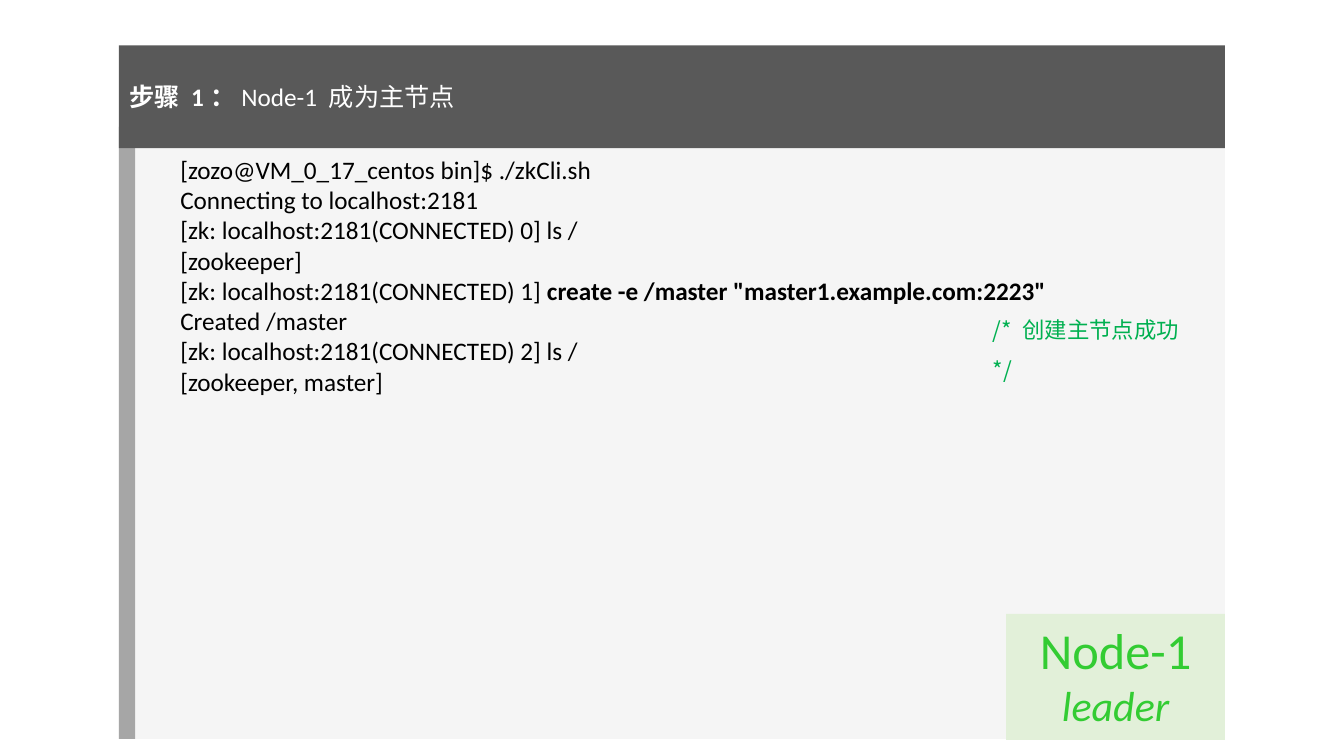
from lxml import etree
from pptx import Presentation
from pptx.dml.color import RGBColor
from pptx.enum import shapes, text
from pptx.oxml import ns
from pptx.util import Inches, Pt

LATIN = "Calibri"
CJK = "Noto Sans CJK SC"
LEFT, WIDTH = 1.18, 10.97
BODY_TOP, BODY_HEIGHT = 1.26, 6.07

TERMINAL_LINES = [
    [("[zozo@VM_0_17_centos bin]$ ./zkCli.sh", {})],
    [("Connecting to localhost:2181", {})],
    [("[zk: localhost:2181(CONNECTED) 0] ls /", {})],
    [("[zookeeper]", {})],
    [("[zk: localhost:2181(CONNECTED) 1] ", {}),
     ('create -e /master "master1.example.com:2223"', {"bold": True})],
    [("Created /master", {})],
    [("[zk: localhost:2181(CONNECTED) 2] ls /", {})],
    [("[zookeeper, master]", {})],
]


def rgb(value):
    return RGBColor.from_string(value)


class SlideBuilder:
    def __init__(self, presentation):
        self.slide = presentation.slides.add_slide(presentation.slide_layouts[5])
        self.style = {"name": LATIN, "size": Pt(18), "bold": False, "italic": False}

    def set_text(self, shape, lines, color, align=text.PP_ALIGN.LEFT,
                 anchor=text.MSO_ANCHOR.TOP, spacing=1.0, **style):
        """Fill a shape with lines, each a list of (wording, format) runs."""
        frame = shape.text_frame
        frame.word_wrap = True
        frame.auto_size = text.MSO_AUTO_SIZE.NONE
        frame.vertical_anchor = anchor
        for index, runs in enumerate(lines):
            paragraph = frame.paragraphs[0] if index == 0 else frame.add_paragraph()
            paragraph.alignment = align
            paragraph.line_spacing = spacing
            paragraph.space_before = Pt(0)
            for wording, changes in runs:
                run = paragraph.add_run()
                run.text = wording
                run.font.color.rgb = rgb(color)
                for name, value in {**self.style, **style, **changes}.items():
                    setattr(run.font, name, value)
                east_asian = etree.SubElement(run.font._element, ns.qn("a:ea"))
                east_asian.set("typeface", CJK)

    def title(self, box, fill, runs, color):
        shape = self.slide.shapes.title
        shape.left, shape.top, shape.width, shape.height = map(Inches, box)
        shape.fill.solid()
        shape.fill.fore_color.rgb = rgb(fill)
        self.set_text(shape, [runs], color, anchor=text.MSO_ANCHOR.MIDDLE)
        # Bring the title bar in front of the panel it overlaps
        self.slide.shapes._spTree.append(shape._element)

    def panel(self, box, fill):
        shape = self.slide.shapes.add_shape(
            shapes.MSO_SHAPE.RECTANGLE, *map(Inches, box))
        shape.shadow.inherit = False
        shape.fill.solid()
        shape.fill.fore_color.rgb = rgb(fill)
        shape.line.fill.background()
        return shape

    def text_box(self, box, lines, color, **style):
        shape = self.slide.shapes.add_textbox(*map(Inches, box))
        self.set_text(shape, lines, color, **style)


def main():
    presentation = Presentation()
    presentation.slide_width = Inches(13.33)
    presentation.slide_height = Inches(7.5)
    builder = SlideBuilder(presentation)

    builder.panel((LEFT, BODY_TOP, WIDTH, BODY_HEIGHT), "F5F5F5")
    builder.text_box((1.69, 1.48, 10.46, 2.52), TERMINAL_LINES, "000000")
    builder.panel((LEFT, BODY_TOP, 0.16, BODY_HEIGHT), "A6A6A6")
    builder.title((LEFT, 0.45, WIDTH, 1.02), "595959",
                  [("步骤 1：", {"bold": True}), ("Node-1 成为主节点", {})], "FFFFFF")

    node = builder.panel((9.98, 6.09, 2.17, 1.25), "E2F0D9")
    builder.set_text(node, [[("Node-1", {"size": Pt(36)})],
                            [("leader", {"size": Pt(30), "italic": True})]],
                     "33CC33", align=text.PP_ALIGN.CENTER)
    builder.text_box((9.75, 2.95, 2.15, 0.5), [[("/* 创建主节点成功 */", {})]],
                     "00B050", spacing=1.5, name=CJK, size=Pt(16))

    presentation.save("out.pptx")


if __name__ == "__main__":
    main()
